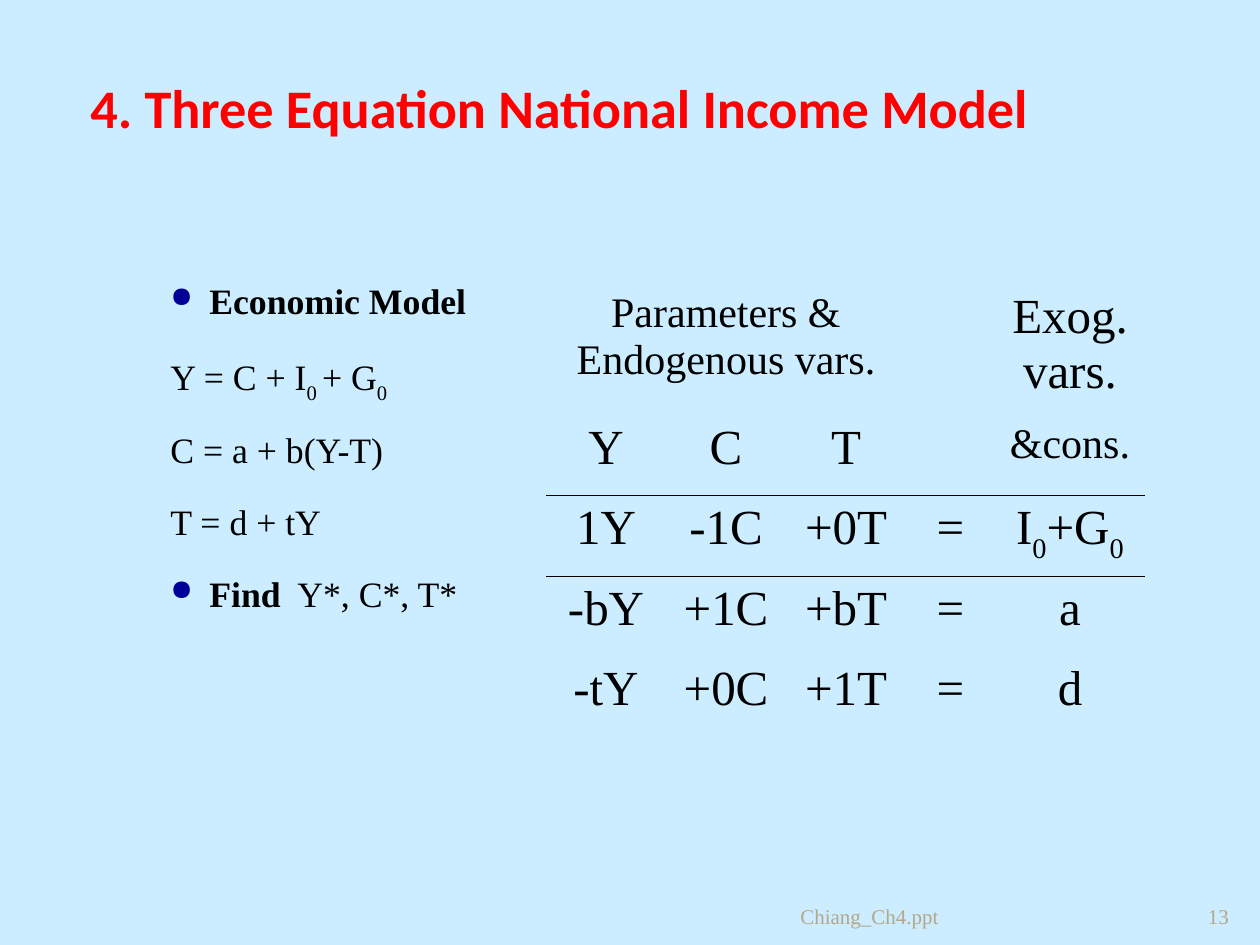
from lxml.etree import SubElement
from pptx import Presentation
from pptx.dml.color import RGBColor
from pptx.enum.text import MSO_ANCHOR, PP_ALIGN
from pptx.oxml import parse_xml
from pptx.oxml.ns import nsdecls, qn
from pptx.util import Pt

PX = 914400 / 126
SERIF = "Times New Roman"
BLACK, RED, TAN, NAVY, SKY = "000000", "FF0000", "B5A788", "000099", "CCECFF"
NO_STYLE = "{2D5ABB26-0587-4C30-8999-92F81FD0307C}"
SUB, BOLD = "sub", "bold"

MODEL = [  # (bulleted, runs)
    (True, [("Economic Model", BOLD)]),
    (False, [("Y = C + I", None), ("0 ", SUB), ("+ G", None), ("0", SUB)]),
    (False, [("C = a + b(Y-T)", None)]),
    (False, [("T = d + tY", None)]),
    (True, [("Find ", BOLD), (" Y*, C*, T*", None)]),
]
COLUMNS = [120, 120, 120, 89, 150]
ROWS = [131, 80, 80, 80, 80]
RULED_ROW = 1
SMALL_CELLS = {(0, 0), (1, 4)}
EXOGENOUS = [("I", None), ("0", SUB), ("+G", None), ("0", SUB)]
SYSTEM = [
    ["Parameters & Endogenous vars.", "", "", "", "Exog. vars."],
    ["Y", "C", "T", "", "&cons."],
    ["1Y", "-1C", "+0T", "=", EXOGENOUS],
    ["-bY", "+1C", "+bT", "=", "a"],
    ["-tY", "+0C", "+1T", "=", "d"],
]


def px(n):
    return round(n * PX)


def rgb(color):
    return RGBColor.from_string(color)


def write(p, content, size, color=BLACK, font=SERIF):
    """Fill a paragraph with a string or with (text, style) runs."""
    p.font.size, p.font.name = Pt(size), font
    p.font.color.rgb = rgb(color)
    runs = [(content, None)] if isinstance(content, str) else content
    for text, style in runs:
        r = p.add_run()
        r.text = text
        if style == BOLD:
            r.font.bold = True
        elif style == SUB:
            r._r.get_or_add_rPr().set("baseline", "-28000")


def add_box(slide, x, y, w, h, anchor=MSO_ANCHOR.TOP):
    tf = slide.shapes.add_textbox(px(x), px(y), px(w), px(h)).text_frame
    tf.word_wrap = True
    tf.vertical_anchor = anchor
    return tf


def set_bullet(p, bulleted):
    pPr = p._p.get_or_add_pPr()
    pPr.set("marL", str(px(50)))
    pPr.set("indent", str(px(-39)))
    if not bulleted:
        return
    # Bullet parts go before the paragraph's default font
    for xml in (
        f'<a:buClr {nsdecls("a")}><a:srgbClr val="{NAVY}"/></a:buClr>',
        f'<a:buSzPct {nsdecls("a")} val="80000"/>',
        f'<a:buChar {nsdecls("a")} char="●"/>',
    ):
        pPr.find(qn("a:defRPr")).addprevious(parse_xml(xml))


def add_model(slide):
    tf = add_box(slide, 147, 284, 399, 346)
    for i, (bulleted, runs) in enumerate(MODEL):
        p = tf.add_paragraph() if i else tf.paragraphs[0]
        p.line_spacing = 0.7
        p.space_before = Pt(24 if i else 2)
        write(p, runs, 20.4)
        set_bullet(p, bulleted)


def set_border(cell, side):
    tcPr = cell._tc.get_or_add_tcPr()
    ln = SubElement(tcPr, qn(f"a:{side}"), w=str(Pt(0.45)))
    fill = SubElement(ln, qn("a:solidFill"))
    SubElement(fill, qn("a:srgbClr"), val=BLACK)
    tcPr.insert(0, ln)


def add_system(slide):
    frame = slide.shapes.add_table(len(ROWS), len(COLUMNS), px(546), px(284),
                                   px(sum(COLUMNS)), px(sum(ROWS)))
    table = frame.table
    table.first_row = table.horz_banding = False
    table._tbl.tblPr.find(qn("a:tableStyleId")).text = NO_STYLE
    for column, width in zip(table.columns, COLUMNS):
        column.width = px(width)
    for row, height in zip(table.rows, ROWS):
        row.height = px(height)
    table.cell(0, 0).merge(table.cell(0, 2))

    for i, line in enumerate(SYSTEM):
        for j, content in enumerate(line):
            cell = table.cell(i, j)
            cell.fill.background()
            if content:
                small = (i, j) in SMALL_CELLS
                p = cell.text_frame.paragraphs[0]
                p.alignment = PP_ALIGN.CENTER
                p.space_before = Pt(6 if small else 7)
                write(p, content, 24 if small else 28)
            # Rule between the headings and the equations
            if i == RULED_ROW:
                set_border(cell, "lnB")
            elif i == RULED_ROW + 1:
                set_border(cell, "lnT")


def main():
    prs = Presentation()
    prs.slide_width, prs.slide_height = px(1260), px(945)
    slide = prs.slides.add_slide(prs.slide_layouts[6])
    slide.background.fill.solid()
    slide.background.fill.fore_color.rgb = rgb(SKY)

    # Title
    p = add_box(slide, 78, 63, 1105, 88, MSO_ANCHOR.MIDDLE).paragraphs[0]
    write(p, [("4. Three Equation National Income Model", BOLD)],
          31, RED, "Calibri")

    # Equations and their matrix form
    add_system(slide)
    add_model(slide)

    # Footer and slide number
    p = add_box(slide, 788, 869, 399, 66, MSO_ANCHOR.BOTTOM).paragraphs[0]
    write(p, "Chiang_Ch4.ppt", 12, TAN)
    p = add_box(slide, 1187, 869, 63, 66, MSO_ANCHOR.BOTTOM).paragraphs[0]
    p.alignment = PP_ALIGN.CENTER
    write(p, "13", 12, TAN)

    prs.save("out.pptx")


if __name__ == "__main__":
    main()
